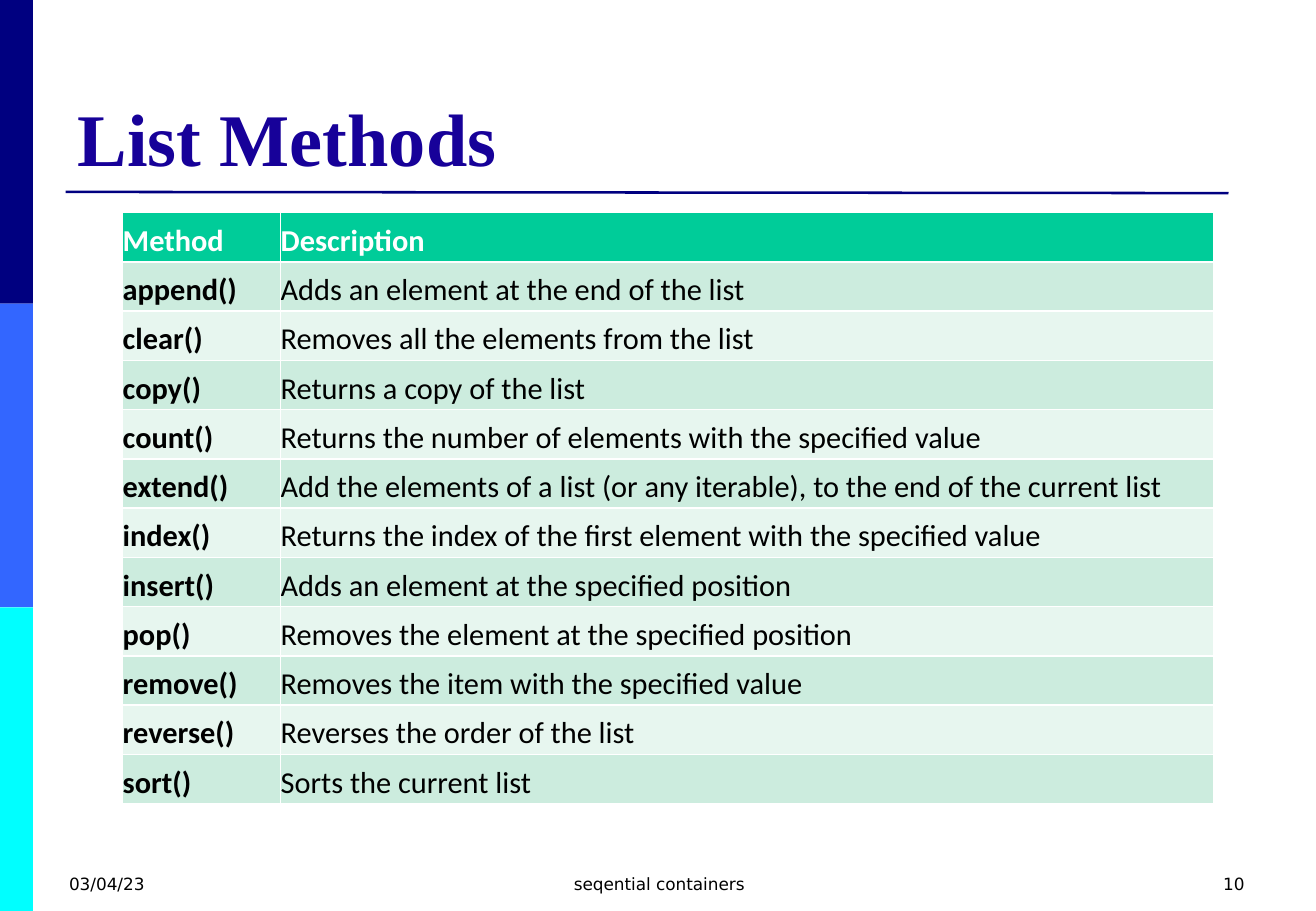
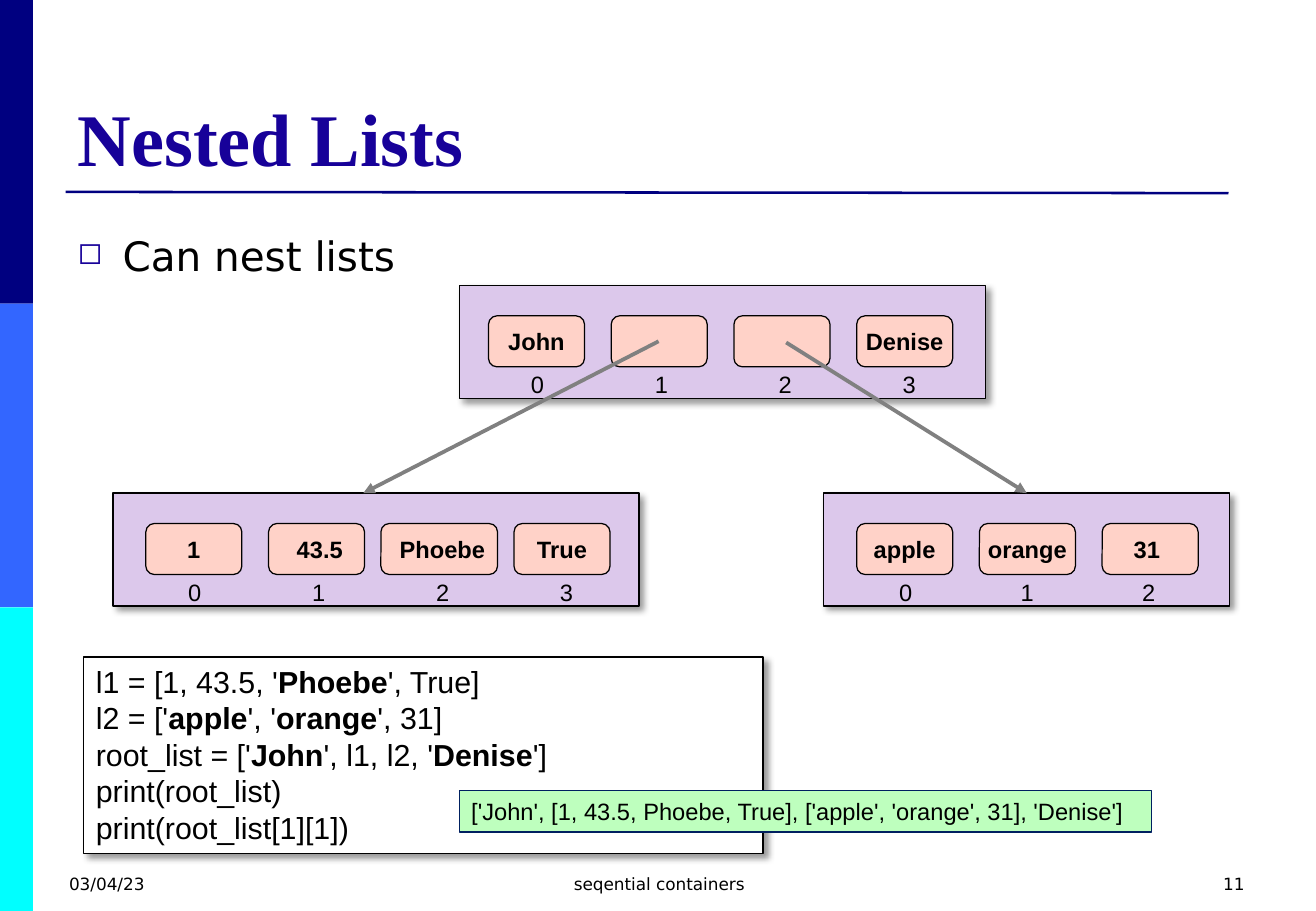
from dataclasses import dataclass

from lxml import etree
from pptx import Presentation
from pptx import util as u
from pptx.dml.color import RGBColor
from pptx.enum import shapes, text
from pptx.oxml.ns import qn

W, H = 10.83, 7.5
MARGIN = 0.54
CONTENT_WIDTH = 0.9 * W
CONTENT_TOP = 1.75
CELL_PITCH = 1.01
CELL_WIDTH, CELL_HEIGHT = 0.79, 0.42
INSETS = (0.1, 0.05, 0.1, 0.05)


@dataclass(frozen=True)
class Theme:
    navy: str = "000080"
    blue: str = "3366FF"
    cyan: str = "00FFFF"
    title: str = "170199"
    ink: str = "000000"
    white: str = "FFFFFF"
    header: str = "00CC99"
    stripes: tuple = ("CCECDE", "E7F6EF")
    panel: str = "DCC8EB"
    item: str = "FFD2C8"
    output: str = "BEFFBE"
    output_line: str = "002060"
    arrow: str = "808080"
    serif: str = "Times New Roman"
    sans: str = "Arial"
    table_font: str = "Calibri"
    ui_font: str = "DejaVu Sans"
    title_size: int = 44
    body_size: int = 24
    code_size: int = 18
    item_size: int = 14
    footer_size: int = 10


THEME = Theme()
ALIGN = text.PP_ALIGN
ANCHOR = text.MSO_ANCHOR
RECT = shapes.MSO_SHAPE.RECTANGLE
ROUNDED = shapes.MSO_SHAPE.ROUNDED_RECTANGLE

METHODS = [
    ("Method", "Description"),
    ("append()", "Adds an element at the end of the list"),
    ("clear()", "Removes all the elements from the list"),
    ("copy()", "Returns a copy of the list"),
    ("count()", "Returns the number of elements with the specified value"),
    ("extend()", "Add the elements of a list (or any iterable), to the end of the current list"),
    ("index()", "Returns the index of the first element with the specified value"),
    ("insert()", "Adds an element at the specified position"),
    ("pop()", "Removes the element at the specified position"),
    ("remove()", "Removes the item with the specified value"),
    ("reverse()", "Reverses the order of the list"),
    ("sort()", "Sorts the current list"),
]

CODE = """l1 = [1, 43.5, '*Phoebe*', True]
l2 = ['*apple*', '*orange*', 31]
root_list = ['*John*', l1, l2, '*Denise*']
print(root_list)
print(root_list[1][1])"""


def rgb(color):
    return RGBColor.from_string(color)


def inches(*lengths):
    return [u.Inches(length) for length in lengths]


def add_xml(parent, tag, **attributes):
    return etree.SubElement(parent, qn(tag), {k: str(v) for k, v in attributes.items()})


def write(frame, content, size=THEME.item_size, font=THEME.sans, color=THEME.ink,
          bold=False, align=ALIGN.LEFT, anchor=ANCHOR.TOP, insets=INSETS, wrap=True):
    frame.word_wrap = wrap
    frame.vertical_anchor = anchor
    (frame.margin_left, frame.margin_top,
     frame.margin_right, frame.margin_bottom) = inches(*insets)
    for row, line in enumerate(content.split("\n")):
        paragraph = frame.add_paragraph() if row else frame.paragraphs[0]
        paragraph.alignment = align
        for part, words in enumerate(line.split("*")):
            run = paragraph.add_run()
            run.text = words
            run.font.size = u.Pt(size)
            run.font.name = font
            run.font.bold = bold or part % 2 == 1
            run.font.color.rgb = rgb(color)


def add_label(slide, at, content, **style):
    label = slide.shapes.add_textbox(*inches(*at))
    write(label.text_frame, content, **style)
    return label


def add_box(slide, at, fill, kind=RECT, line=THEME.ink, shadow=False):
    box = slide.shapes.add_shape(kind, *inches(*at))
    box.fill.solid()
    box.fill.fore_color.rgb = rgb(fill)
    box.shadow.inherit = False
    if line:
        box.line.color.rgb = rgb(line)
        box.line.width = u.Pt(0.75)
    else:
        box.line.fill.background()
    if shadow:
        effects = box._element.spPr.find(qn("a:effectLst"))
        outer = add_xml(effects, "a:outerShdw", blurRad=u.Pt(4), dist=u.Pt(3),
                        dir=45 * 60000, algn="tl", rotWithShape=0)
        tint = add_xml(outer, "a:srgbClr", val=THEME.ink)
        add_xml(tint, "a:alpha", val=40000)
    return box


def add_line(slide, start, end, color, width, arrow=False):
    line = slide.shapes.add_connector(
        shapes.MSO_CONNECTOR.STRAIGHT, *inches(*start, *end))
    line.line.color.rgb = rgb(color)
    line.line.width = u.Pt(width)
    if arrow:
        add_xml(line.line._get_or_add_ln(), "a:tailEnd", type="triangle")
    add_xml(line._element.spPr, "a:effectLst")


def decorate_layout(layout, slide):
    bands = (THEME.navy, THEME.blue, THEME.cyan)
    before = len(slide.shapes)
    for row, color in enumerate(bands):
        add_box(slide, (0, row * H / 3, W / 40, H / 3), color, line=None)
    add_line(slide, (MARGIN, 1.58), (10.11, 1.59), THEME.navy, 1.5)
    for decoration in list(slide.shapes)[before:]:
        layout.shapes._spTree.append(decoration._element)


def add_slide(deck, title, number):
    slide = deck.slides.add_slide(deck.slide_layouts[5])
    heading = slide.shapes.title
    heading.left, heading.top, heading.width, heading.height = inches(
        MARGIN, 0.3, CONTENT_WIDTH, 1.24)
    write(heading.text_frame, title, size=THEME.title_size, font=THEME.serif,
          color=THEME.title, bold=True, anchor=ANCHOR.BOTTOM)
    footers = (
        (0.47, 2.53, "03/04/23", ALIGN.LEFT),
        (3.71, 3.43, "seqential containers", ALIGN.CENTER),
        (7.81, 2.53, str(number), ALIGN.RIGHT),
    )
    for left, width, content, align in footers:
        add_label(slide, (left, 7.14, width, 0.36), content,
                  size=THEME.footer_size, font=THEME.ui_font, align=align)
    return slide


def set_borders(cell, color):
    properties = cell._tc.get_or_add_tcPr()
    for position, side in enumerate(("a:lnL", "a:lnR", "a:lnT", "a:lnB")):
        border = etree.Element(qn(side), w=str(u.Pt(1)))
        add_xml(add_xml(border, "a:solidFill"), "a:srgbClr", val=color)
        properties.insert(position, border)


def add_method_table(slide):
    widths = (1.3, 7.68)
    height = 4.87
    table = slide.shapes.add_table(
        len(METHODS), len(widths),
        *inches(1.01, CONTENT_TOP, sum(widths), height)).table
    table.horz_banding = False
    for column, width in zip(table.columns, widths):
        column.width = u.Inches(width)
    for row, entries in enumerate(METHODS):
        table.rows[row].height = u.Inches(height / len(METHODS))
        is_header = row == 0
        for column, entry in enumerate(entries):
            cell = table.cell(row, column)
            cell.fill.solid()
            cell.fill.fore_color.rgb = rgb(
                THEME.header if is_header else THEME.stripes[(row - 1) % 2])
            set_borders(cell, THEME.white)
            write(cell.text_frame, entry, size=THEME.code_size, font=THEME.table_font,
                  color=THEME.white if is_header else THEME.ink,
                  bold=is_header or column == 0)
            cell.vertical_anchor = ANCHOR.MIDDLE
            (cell.margin_left, cell.margin_top,
             cell.margin_right, cell.margin_bottom) = inches(0, 0.06, 0.06, 0)


def add_bullet(slide, content):
    body = add_label(slide, (MARGIN, CONTENT_TOP, CONTENT_WIDTH, 0.58), content,
                     size=THEME.body_size, font=THEME.ui_font)
    paragraph = body.text_frame.paragraphs[0]
    paragraph.line_spacing = 1.25
    paragraph.space_before = u.Pt(7)
    properties = paragraph._p.get_or_add_pPr()
    properties.set("marL", str(u.Inches(0.37)))
    properties.set("indent", str(-u.Inches(0.37)))
    add_xml(add_xml(properties, "a:buClr"), "a:srgbClr", val=THEME.title)
    add_xml(properties, "a:buSzPct", val=75000)
    add_xml(properties, "a:buChar", char="◻")


def add_list(slide, left, top, width, inset, values, index_pitch=1.02, wide=None):
    add_box(slide, (left, top, width, 0.93), THEME.panel, shadow=True)
    for index, value in enumerate(values):
        item_width = 0.96 if index == wide else CELL_WIDTH
        center = left + inset + index * CELL_PITCH + CELL_WIDTH / 2
        item = add_box(slide, (center - item_width / 2, top + 0.25, item_width, CELL_HEIGHT),
                       THEME.item, kind=ROUNDED)
        if value:
            write(item.text_frame, value, bold=True, align=ALIGN.CENTER,
                  anchor=ANCHOR.MIDDLE, insets=(0.04, 0.05, 0.04, 0.05))
    for index in range(len(values)):
        add_label(slide, (left + inset + 0.25 + index * index_pitch, top + 0.65, 0.31, 0.34),
                  str(index), wrap=False)


def add_nested_lists(slide):
    code = add_box(slide, (0.69, 5.41, 5.59, 1.62), THEME.white, shadow=True)
    write(code.text_frame, CODE, size=THEME.code_size)
    output = add_box(slide, (3.78, 6.51, 5.7, 0.34), THEME.output, line=THEME.output_line)
    write(output.text_frame,
          "['John', [1, 43.5, Phoebe, True], ['apple', 'orange', 31], 'Denise']")
    add_list(slide, 3.78, 2.35, 4.33, 0.24, ("John", "", "", "Denise"))
    add_list(slide, 0.93, 4.06, 4.33, 0.27, ("1", " 43.5", " Phoebe", "True"), wide=2)
    add_list(slide, 6.78, 4.06, 3.34, 0.27, ("apple", "orange ", "31 "), index_pitch=1)
    for start, end in (((5.42, 2.81), (2.99, 4.06)), ((6.47, 2.82), (8.45, 4.06))):
        add_line(slide, start, end, THEME.arrow, 2.25, arrow=True)


def main():
    deck = Presentation()
    deck.slide_width, deck.slide_height = inches(W, H)
    methods = add_slide(deck, "List Methods", 10)
    decorate_layout(methods.slide_layout, methods)
    add_method_table(methods)
    nested = add_slide(deck, "Nested Lists", 11)
    add_bullet(nested, "Can nest lists")
    add_nested_lists(nested)
    deck.save("out.pptx")


if __name__ == "__main__":
    main()
